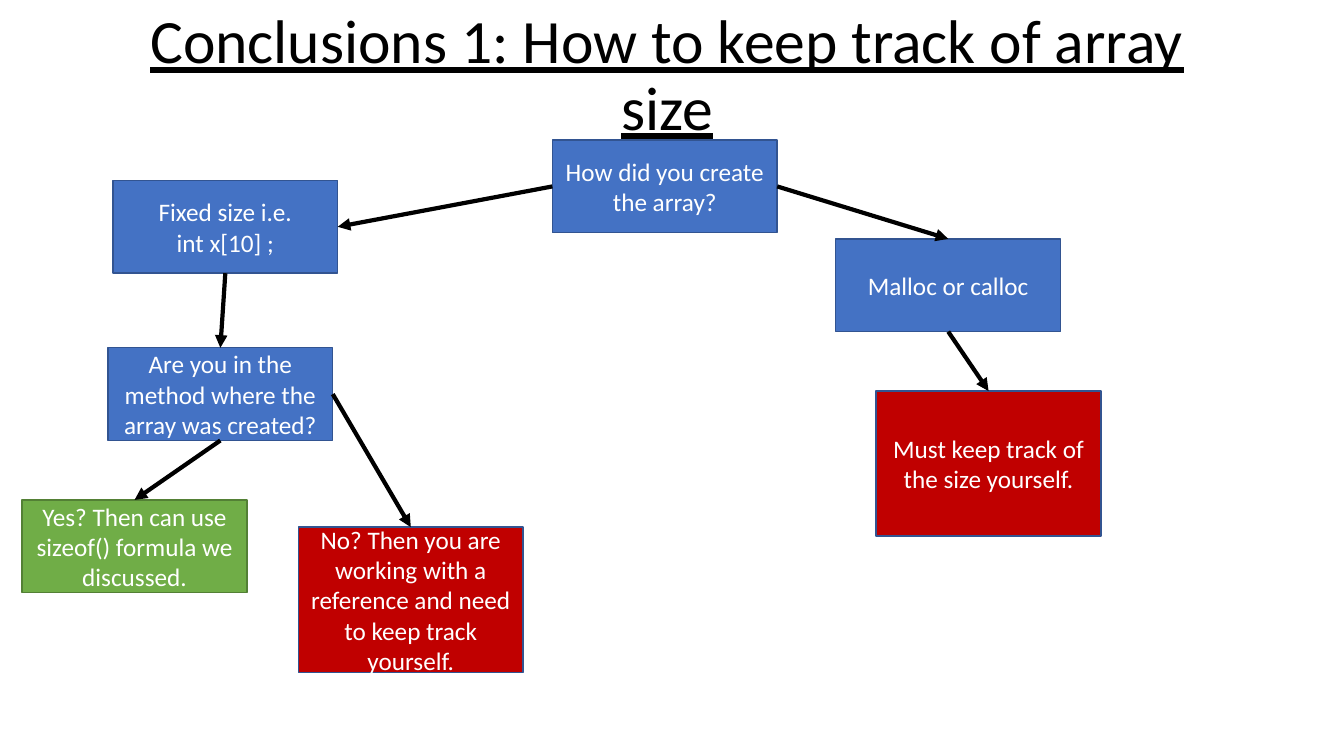
from lxml import etree
from pptx import Presentation
from pptx import util as u
from pptx.dml.color import RGBColor
from pptx.enum import shapes, text
from pptx.oxml import ns

SLIDE_WIDTH = u.Inches(13.33)
SLIDE_HEIGHT = u.Inches(7.5)
BLACK = RGBColor(0x00, 0x00, 0x00)
WHITE = RGBColor(0xFF, 0xFF, 0xFF)
BLUE = RGBColor(0x44, 0x72, 0xC4)
BLUE_EDGE = RGBColor(0x32, 0x54, 0x91)
GREEN = RGBColor(0x70, 0xAD, 0x47)
GREEN_EDGE = RGBColor(0x53, 0x80, 0x35)
RED = RGBColor(0xC0, 0x00, 0x00)
FONT = "Calibri"
STEP_WIDTH = 16.73
STEP_HEIGHT = 12.27
RESULT_HEIGHT = 19.2
TOP, LEFT, BOTTOM, RIGHT = range(4)


def across(percent):
    return int(SLIDE_WIDTH * percent / 100)


def down(percent):
    return int(SLIDE_HEIGHT * percent / 100)


def write(frame, words, size, color, underline=None, spacing=None):
    frame.word_wrap = True
    frame.vertical_anchor = text.MSO_ANCHOR.MIDDLE
    frame.text = words
    for paragraph in frame.paragraphs:
        paragraph.alignment = text.PP_ALIGN.CENTER
        paragraph.line_spacing = spacing
        for run in paragraph.runs:
            run.font.name = FONT
            run.font.size = u.Pt(size)
            run.font.color.rgb = color
            run.font.underline = underline


def add_title(slide, words):
    title = slide.shapes.add_textbox(across(6.5), down(0.53), across(86.27), down(19.33))
    write(title.text_frame, words, 44, BLACK, underline=True, spacing=0.9)


def add_step(slide, words, x, y, height=STEP_HEIGHT, fill=BLUE, edge=BLUE_EDGE):
    step = slide.shapes.add_shape(
        shapes.MSO_SHAPE.RECTANGLE, across(x), down(y), across(STEP_WIDTH), down(height))
    step.shadow.inherit = False
    step.fill.solid()
    step.fill.fore_color.rgb = fill
    step.line.color.rgb = edge
    step.line.width = u.Pt(1)
    write(step.text_frame, words, 18, WHITE)
    return step


def add_arrow(slide, start, start_side, end, end_side):
    arrow = slide.shapes.add_connector(shapes.MSO_CONNECTOR.STRAIGHT, 0, 0, 0, 0)
    arrow.begin_connect(start, start_side)
    arrow.end_connect(end, end_side)
    arrow.line.color.rgb = BLACK
    arrow.line.width = u.Pt(3)
    etree.SubElement(arrow.line._get_or_add_ln(), ns.qn("a:tailEnd"), type="triangle")
    etree.SubElement(arrow._element.spPr, ns.qn("a:effectLst"))


def main():
    deck = Presentation()
    deck.slide_width = SLIDE_WIDTH
    deck.slide_height = SLIDE_HEIGHT
    slide = deck.slides.add_slide(deck.slide_layouts[6])

    add_title(slide, "Conclusions 1: How to keep track of array size")
    question = add_step(slide, "How did you create the array?", 41.1, 18.53)
    fixed = add_step(slide, "Fixed size i.e.\nint x[10] ;", 8.4, 23.87)
    method = add_step(
        slide, "Are you in the method where the array was created?", 8.03, 46)
    yes = add_step(slide, "Yes? Then can use sizeof() formula we discussed.",
                   1.65, 66.13, fill=GREEN, edge=GREEN_EDGE)
    no = add_step(
        slide, "No? Then you are working with a reference and need to keep track yourself.",
        22.2, 69.73, RESULT_HEIGHT, RED)
    dynamic = add_step(slide, "Malloc or calloc", 62.19, 31.6)
    track = add_step(slide, "Must keep track of the size yourself.",
                     65.19, 51.73, RESULT_HEIGHT, RED)

    for start, start_side, end, end_side in (
        (question, LEFT, fixed, RIGHT),
        (fixed, BOTTOM, method, TOP),
        (method, BOTTOM, yes, TOP),
        (method, RIGHT, no, TOP),
        (question, RIGHT, dynamic, TOP),
        (dynamic, BOTTOM, track, TOP),
    ):
        add_arrow(slide, start, start_side, end, end_side)

    deck.save("out.pptx")


if __name__ == "__main__":
    main()
